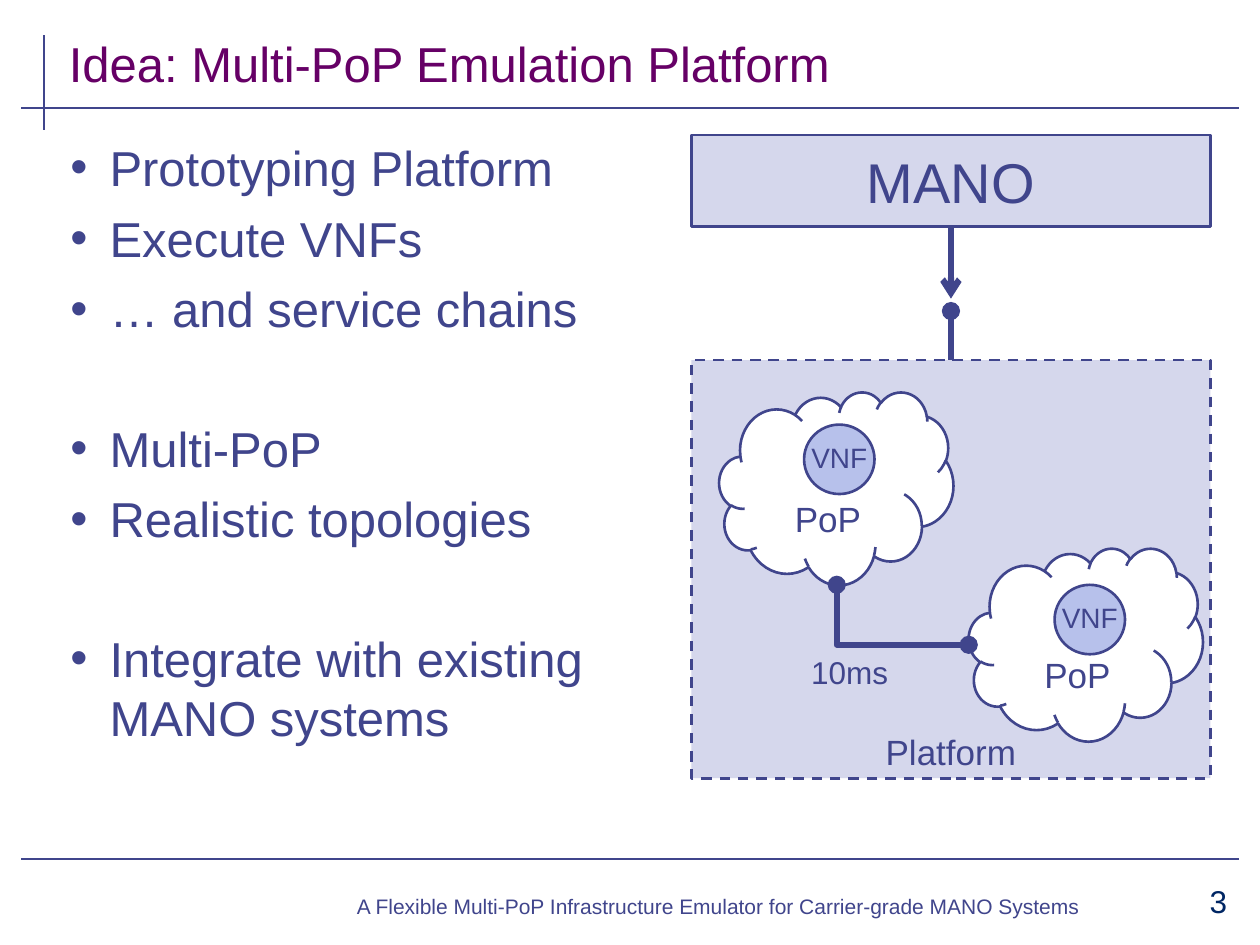
import dataclasses

import pptx
import pptx.dml.color
import pptx.enum.dml
import pptx.enum.shapes
import pptx.enum.text
import pptx.oxml
import pptx.oxml.ns
import pptx.util

Cm, Pt = pptx.util.Cm, pptx.util.Pt
SHAPE = pptx.enum.shapes.MSO_SHAPE
CONNECTOR = pptx.enum.shapes.MSO_CONNECTOR
ALIGN = pptx.enum.text.PP_ALIGN
ANCHOR = pptx.enum.text.MSO_ANCHOR


@dataclasses.dataclass(frozen=True)
class Theme:
    font: str = "Arial"
    ink: str = "40458C"
    title: str = "660066"
    number: str = "002664"
    panel: str = "D5D7EC"
    cloud: str = "FFFFFF"
    vnf: str = "B7C1EB"
    heading: int = 28
    box: int = 32
    label: int = 20
    small: int = 18
    node: int = 16
    footer: int = 12
    thin: float = 1.5
    thick: float = 3.5


def rgb(value):
    return pptx.dml.color.RGBColor.from_string(value)


def xml_child(parent, tag, **attrs):
    """Append an element such as a:tailEnd and return it."""
    el = pptx.oxml.parse_xml(f"<{tag} {pptx.oxml.ns.nsdecls('a')}/>")
    for name, value in attrs.items():
        el.set(name, value)
    parent.append(el)
    return el


def write(p, text, *, font, size, color, align=ALIGN.LEFT, before=0, spacing=None):
    """Write one formatted run into a paragraph."""
    p.alignment = align
    p.space_before = Pt(before)
    p.line_spacing = spacing
    r = p.add_run()
    r.text = text
    r.font.name = font
    r.font.size = Pt(size)
    r.font.color.rgb = rgb(color)


class SlideBuilder:
    def __init__(self, slide, theme):
        self.s = slide
        self.theme = theme

    def _write(self, p, text, size, color=None, **fmt):
        write(p, text, font=self.theme.font, size=size,
              color=color or self.theme.ink, **fmt)

    def _box(self, x, y, w, h, anchor=ANCHOR.TOP):
        tf = self.s.shapes.add_textbox(Cm(x), Cm(y), Cm(w), Cm(h)).text_frame
        tf.word_wrap = True
        tf.vertical_anchor = anchor
        return tf

    def text(self, text, x, y, w, h, size, anchor=ANCHOR.TOP, **fmt):
        self._write(self._box(x, y, w, h, anchor).paragraphs[0], text, size, **fmt)

    def bullets(self, groups, x, y, w, h, gap, group_gap):
        tf = self._box(x, y, w, h)
        tf.margin_top = Cm(0.23)
        p = tf.paragraphs[0]
        for g, group in enumerate(groups):
            for i, item in enumerate(group):
                if g or i:
                    p = tf.add_paragraph()
                before = group_gap if g and not i else gap if i else 0
                self._write(p, item, self.theme.heading, before=before)
                pPr = p._p.get_or_add_pPr()
                pPr.set("marL", str(Cm(0.79)))
                pPr.set("indent", str(-Cm(0.79)))
                xml_child(xml_child(pPr, "a:buClr"), "a:srgbClr", val=self.theme.ink)
                xml_child(pPr, "a:buFont", typeface=self.theme.font)
                xml_child(pPr, "a:buChar", char="•")

    def shape(self, kind, text, x, y, w, h, fill, size,
              anchor=ANCHOR.MIDDLE, dashed=False, spacing=None):
        sp = self.s.shapes.add_shape(kind, Cm(x), Cm(y), Cm(w), Cm(h))
        sp.shadow.inherit = False
        sp.fill.solid()
        sp.fill.fore_color.rgb = rgb(fill)
        sp.line.color.rgb = rgb(self.theme.ink)
        sp.line.width = Pt(self.theme.thin)
        if dashed:
            sp.line.dash_style = pptx.enum.dml.MSO_LINE.DASH
        tf = sp.text_frame
        tf.word_wrap = False
        tf.vertical_anchor = anchor
        self._write(tf.paragraphs[0], text, size, align=ALIGN.CENTER, spacing=spacing)
        return sp

    def line(self, x1, y1, x2, y2, width, head=None, tail=None, bent=False):
        kind = CONNECTOR.ELBOW if bent else CONNECTOR.STRAIGHT
        c = self.s.shapes.add_connector(kind, Cm(x1), Cm(y1), Cm(x2), Cm(y2))
        c.line.color.rgb = rgb(self.theme.ink)
        c.line.width = Pt(width)
        spPr = c._element.spPr
        if bent:  # a single corner, horizontal leg first
            spPr.find(pptx.oxml.ns.qn("a:prstGeom")).set("prst", "bentConnector2")
        ln = c.line._get_or_add_ln()
        for tag, end in (("a:headEnd", head), ("a:tailEnd", tail)):
            if end:
                xml_child(ln, tag, type=end)
        xml_child(spPr, "a:effectLst")
        return c

    def pop(self, x, y):
        self.shape(SHAPE.CLOUD, "PoP", x, y, 4.72, 3.89, self.theme.cloud,
                   self.theme.label, anchor=ANCHOR.BOTTOM, spacing=0.93)

    def vnf(self, x, y):
        self.shape(SHAPE.OVAL, "VNF", x, y, 1.42, 1.4, self.theme.vnf,
                   self.theme.node, spacing=0.93)


def main():
    prs = pptx.Presentation()
    prs.slide_width, prs.slide_height = Cm(25.4), Cm(19.05)
    t = Theme()
    b = SlideBuilder(prs.slides.add_slide(prs.slide_layouts[6]), t)

    # Frame lines
    b.line(0.89, 0.71, 0.89, 2.62, t.thin)
    for y in (2.18, 17.32):
        b.line(0.43, y, 24.97, y, t.thin)

    # Title, footer and page number
    b.text("Idea: Multi-PoP Emulation Platform", 1.14, 0.41, 23.7, 1.57,
           t.heading, ANCHOR.BOTTOM, color=t.title)
    b.text("A Flexible Multi-PoP Infrastructure Emulator for Carrier-grade MANO Systems",
           6.6, 17.6, 15.77, 1.32, t.footer, ANCHOR.MIDDLE, align=ALIGN.CENTER)
    b.text("3", 21.69, 17.73, 3.3, 0.97, t.small,
           color=t.number, align=ALIGN.RIGHT, spacing=0.93)

    # Bullet groups
    b.bullets([["Prototyping Platform", "Execute VNFs", "… and service chains"],
               ["Multi-PoP", "Realistic topologies"],
               ["Integrate with existing MANO systems"]],
              1.17, 2.54, 11.58, 14.43, gap=6.8, group_gap=46)

    # MANO box and platform panel
    left, width = 13.94, 10.46
    mid = left + width / 2
    mano = b.shape(SHAPE.RECTANGLE, "MANO", left, 2.72, width, 1.85, t.panel, t.box)
    platform = b.shape(SHAPE.RECTANGLE, "Platform", left, 7.26, width, 8.43, t.panel,
                       t.label, anchor=ANCHOR.BOTTOM, dashed=True)

    # Interface between MANO and platform
    call = b.line(mid, 4.57, mid, 6.02, t.thick, tail="arrow")
    call.begin_connect(mano, 2)
    port = b.line(mid, 6.27, mid, 7.26, t.thick, head="oval")
    port.end_connect(platform, 0)

    # Points of presence with their VNFs
    b.pop(19.53, 11.05)
    b.pop(14.5, 7.9)
    b.vnf(16.21, 8.56)
    b.vnf(21.26, 11.79)

    # Link between the two PoPs
    b.line(19.53, 13, 16.87, 11.79, t.thick, head="oval", tail="oval", bent=True)
    b.text("10ms", 16.1, 13.11, 2.59, 0.97, t.small, spacing=0.93)

    prs.save("out.pptx")


if __name__ == "__main__":
    main()
